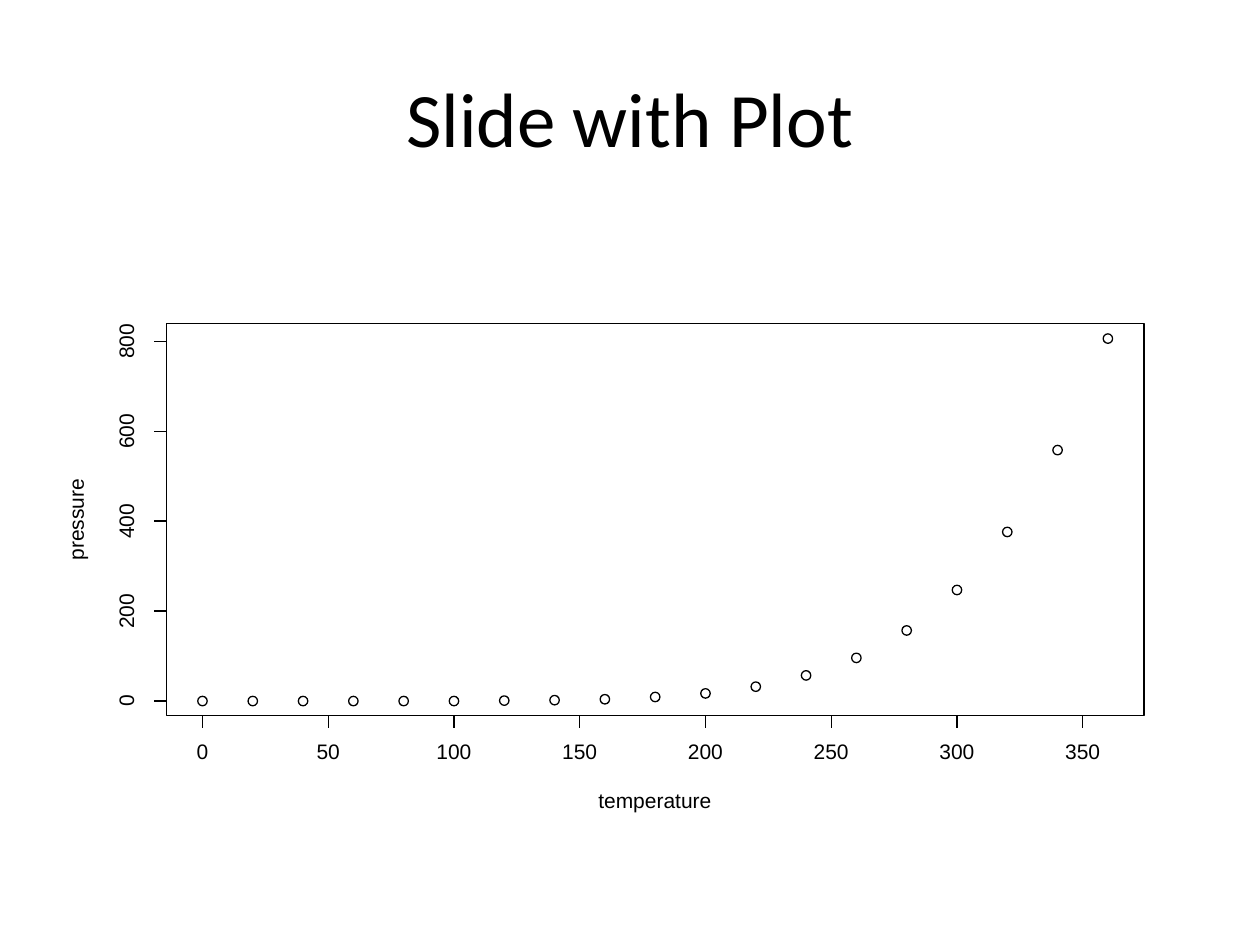
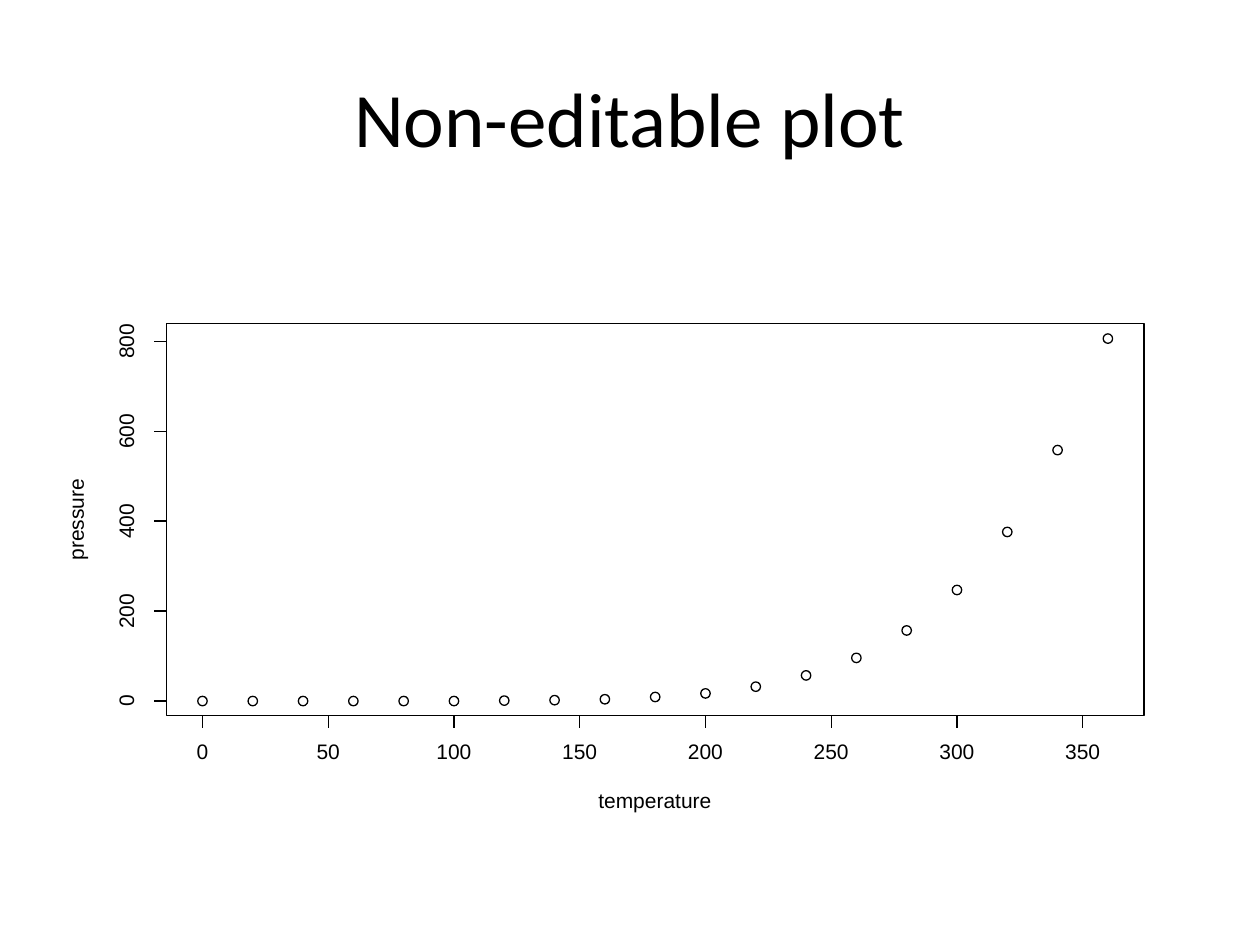
from lxml.etree import SubElement
from pptx import Presentation
from pptx.dml.color import RGBColor
from pptx.enum.shapes import MSO_CONNECTOR as Connector, MSO_SHAPE as Shape
from pptx.enum.text import MSO_ANCHOR as Anchor, PP_ALIGN as Align
from pptx.oxml.ns import qn
from pptx.util import Pt

BLACK, WHITE = "000000", "FFFFFF"
TITLE_FONT, PLOT_FONT = "Calibri", "Arial"
LINE_WIDTH, LABEL_SIZE, DIGIT_WIDTH = 0.75, 12, 6.67

# Plot geometry in points
PANEL = (36, 126, 648, 356.4)
FRAME = (95, 185, 558.7, 223.9)
FRAME_LEFT, FRAME_TOP, FRAME_WIDTH, FRAME_HEIGHT = FRAME
FRAME_BOTTOM = FRAME_TOP + FRAME_HEIGHT
FRAME_MIDDLE_X = FRAME_LEFT + FRAME_WIDTH / 2
FRAME_MIDDLE_Y = FRAME_TOP + FRAME_HEIGHT / 2
ORIGIN_X, ORIGIN_Y = 115.7, 400.6
X_SCALE, Y_SCALE = 503 / 350, 205.6 / 800
TICK, DOT = 7.2, 5.4
X_LABEL_Y, Y_LABEL_X = 430.6, 73.1
X_TITLE_Y, Y_TITLE_X = 458.3, 44.3

TEMPERATURE_STEP = 20
PRESSURES = [0, 0, 0, 0, 0, 0, 1, 2, 4, 9, 17, 32, 57, 96, 157, 247, 376, 558, 806]
TEMPERATURE_TICKS = range(0, 351, 50)
PRESSURE_TICKS = range(0, 801, 200)


def color(hex_string):
    """Turn a hex string into a colour."""
    return RGBColor.from_string(hex_string)


def plot_x(temperature):
    """Horizontal place of a temperature."""
    return ORIGIN_X + temperature * X_SCALE


def plot_y(pressure):
    """Vertical place of a pressure."""
    return ORIGIN_Y - pressure * Y_SCALE


def format_runs(paragraph, font_name, size):
    """Give every run of a paragraph its font."""
    for run in paragraph.runs:
        run.font.name = font_name
        run.font.size = Pt(size)
        run.font.color.rgb = color(BLACK)


def set_title(slide, text):
    """Fill, place and format the title placeholder."""
    title = slide.shapes.title
    title.left, title.top, title.width, title.height = map(Pt, (36, 21.6, 648, 90))
    title.text_frame.text = text
    title.text_frame.vertical_anchor = Anchor.MIDDLE
    paragraph = title.text_frame.paragraphs[0]
    paragraph.alignment = Align.CENTER
    format_runs(paragraph, TITLE_FONT, 44)


def add_outline(shapes, kind, box, line=BLACK, fill=None):
    """Add a thinly outlined preset shape, hollow unless a fill is given."""
    shape = shapes.add_shape(kind, *map(Pt, box))
    shape.shadow.inherit = False
    shape.line.color.rgb = color(line)
    shape.line.width = Pt(LINE_WIDTH)
    if fill:
        shape.fill.solid()
        shape.fill.fore_color.rgb = color(fill)
    else:
        shape.fill.background()


def add_line(shapes, start_x, start_y, end_x, end_y):
    """Add a thin straight line without shadow."""
    ends = map(Pt, (start_x, start_y, end_x, end_y))
    line = shapes.add_connector(Connector.STRAIGHT, *ends)
    line.line.color.rgb = color(BLACK)
    line.line.width = Pt(LINE_WIDTH)
    SubElement(line._element.spPr, qn("a:effectLst"))


def add_label(shapes, text, center_x, center_y, width, height=8.6, rotation=0):
    """Add a plot label centred on a point."""
    box = (center_x - width / 2, center_y - height / 2, width, height)
    label = shapes.add_textbox(*map(Pt, box))
    label.rotation = rotation
    frame = label.text_frame
    frame.margin_left = frame.margin_right = frame.margin_top = frame.margin_bottom = 0
    frame.word_wrap = False
    frame.vertical_anchor = Anchor.MIDDLE
    frame.text = text
    frame.paragraphs[0].line_spacing = Pt(LABEL_SIZE)
    format_runs(frame.paragraphs[0], PLOT_FONT, LABEL_SIZE)


def add_points(shapes):
    """Mark each measurement with a hollow circle."""
    for index, pressure in enumerate(PRESSURES):
        left = plot_x(index * TEMPERATURE_STEP) - DOT / 2
        top = plot_y(pressure) - DOT / 2
        add_outline(shapes, Shape.OVAL, (left, top, DOT, DOT))


def add_temperature_axis(shapes):
    """Draw the horizontal axis with ticks and numbers."""
    ticks = [(value, plot_x(value)) for value in TEMPERATURE_TICKS]
    add_line(shapes, ticks[0][1], FRAME_BOTTOM, ticks[-1][1], FRAME_BOTTOM)
    for value, x in ticks:
        add_line(shapes, x, FRAME_BOTTOM, x, FRAME_BOTTOM + TICK)
    for value, x in ticks:
        text = str(value)
        add_label(shapes, text, x, X_LABEL_Y, len(text) * DIGIT_WIDTH)


def add_pressure_axis(shapes):
    """Draw the vertical axis with ticks and turned numbers."""
    ticks = [(value, plot_y(value)) for value in PRESSURE_TICKS]
    add_line(shapes, FRAME_LEFT, ticks[0][1], FRAME_LEFT, ticks[-1][1])
    for value, y in ticks:
        add_line(shapes, FRAME_LEFT, y, FRAME_LEFT - TICK, y)
    for value, y in ticks:
        text = str(value)
        add_label(shapes, text, Y_LABEL_X, y, len(text) * DIGIT_WIDTH, rotation=270)


def add_plot(slide):
    """Draw the scatter plot as one group."""
    shapes = slide.shapes.add_group_shape().shapes
    add_outline(shapes, Shape.RECTANGLE, PANEL, line=WHITE, fill=WHITE)
    add_points(shapes)
    add_temperature_axis(shapes)
    add_pressure_axis(shapes)
    add_outline(shapes, Shape.RECTANGLE, FRAME)
    add_label(shapes, "temperature", FRAME_MIDDLE_X, X_TITLE_Y, 64.8, height=10.8)
    add_label(shapes, "pressure", Y_TITLE_X, FRAME_MIDDLE_Y, 46.8, rotation=270)


def main():
    """Build both plot slides."""
    presentation = Presentation()
    presentation.slide_width, presentation.slide_height = Pt(720), Pt(540)
    title_only = presentation.slide_layouts[5]
    for title in ("Slide with Plot", "Non-editable plot"):
        slide = presentation.slides.add_slide(title_only)
        set_title(slide, title)
        add_plot(slide)
    presentation.save("out.pptx")


main()
